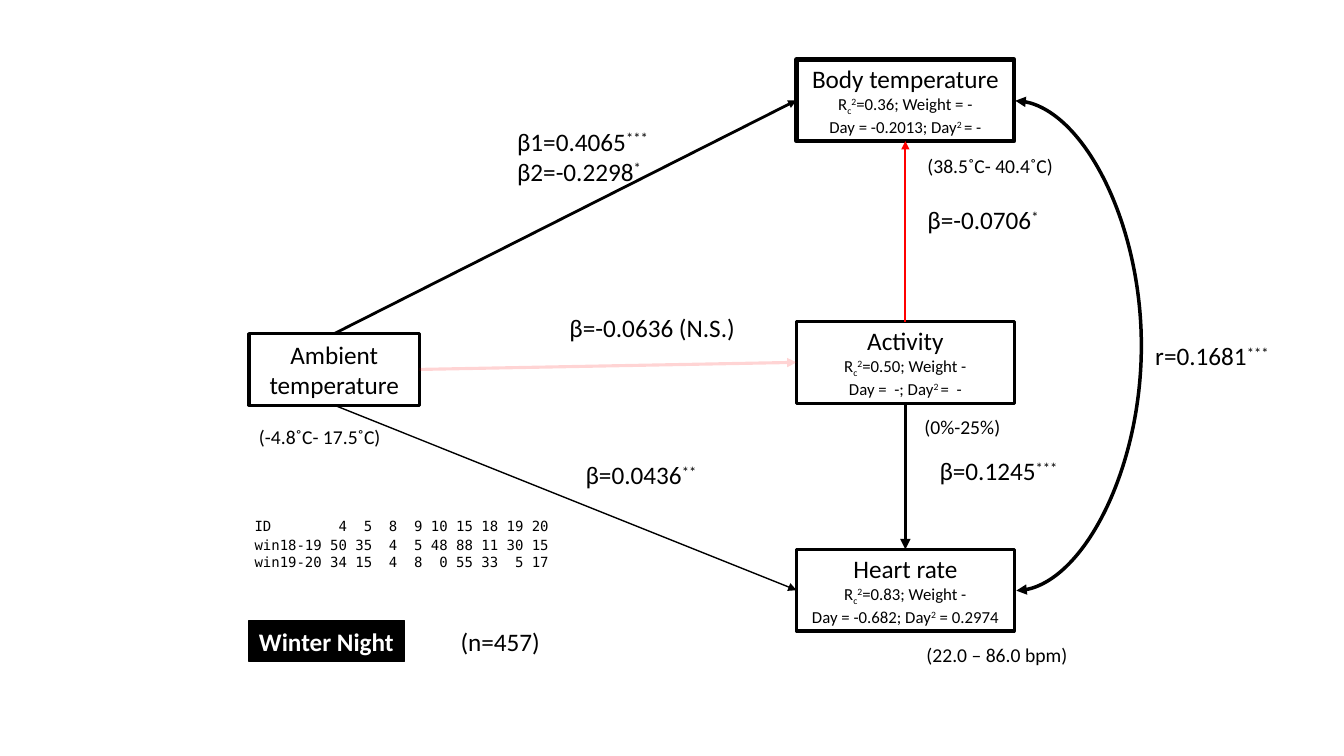
from dataclasses import dataclass
from lxml.etree import SubElement
from pptx import Presentation
from pptx.dml.color import RGBColor
from pptx.enum.shapes import MSO_CONNECTOR, MSO_SHAPE
from pptx.enum.text import MSO_ANCHOR, MSO_AUTO_SIZE, PP_ALIGN
from pptx.oxml.ns import qn
from pptx.util import Inches, Pt


@dataclass(frozen=True)
class Theme:
    ink: RGBColor = RGBColor(0x00, 0x00, 0x00)
    paper: RGBColor = RGBColor(0xFF, 0xFF, 0xFF)
    negative: RGBColor = RGBColor(0xFF, 0x00, 0x00)
    font: str = "Calibri"
    mono: str = "DejaVu Sans Mono"
    heading: int = 18
    span: int = 14
    detail: int = 12
    counts: int = 10


THEME = Theme()
BASELINES = {"^": "30000", "_": "-25000"}
TOP, LEFT, BOTTOM, RIGHT = range(4)


def write_line(paragraph, markup, size, color=THEME.ink, font=THEME.font, bold=False):
    for part in markup.split("|"):
        baseline = BASELINES.get(part[0])
        run = paragraph.add_run()
        run.text = part[1:] if baseline else part
        run.font.size = Pt(size)
        run.font.name = font
        run.font.bold = bold
        run.font.color.rgb = color
        if baseline:
            run._r.get_or_add_rPr().set("baseline", baseline)


def write_lines(frame, lines, **style):
    for index, (markup, size) in enumerate(lines):
        paragraph = frame.add_paragraph() if index else frame.paragraphs[0]
        write_line(paragraph, markup, size, **style)


def add_box(slide, left, top, width, height, weight):
    box = slide.shapes.add_shape(
        MSO_SHAPE.RECTANGLE, Inches(left), Inches(top), Inches(width), Inches(height))
    box.shadow.inherit = False
    box.fill.background()
    box.line.color.rgb = THEME.ink
    box.line.width = Pt(weight)
    return box


def add_variable(slide, left, top, width, height, name, details=(), weight=2.25):
    variable = add_box(slide, left, top, width, height, weight)
    frame = variable.text_frame
    frame.word_wrap = True
    frame.vertical_anchor = MSO_ANCHOR.MIDDLE
    write_lines(frame, [(name, THEME.heading)] + [(d, THEME.detail) for d in details])
    for paragraph in frame.paragraphs:
        paragraph.alignment = PP_ALIGN.CENTER
    return variable


def add_label(slide, left, top, width, height, *lines, size=THEME.heading):
    label = slide.shapes.add_textbox(
        Inches(left), Inches(top), Inches(width), Inches(height))
    frame = label.text_frame
    frame.word_wrap = False
    frame.auto_size = MSO_AUTO_SIZE.SHAPE_TO_FIT_TEXT
    write_lines(frame, [(line, size) for line in lines])


def style_arrow(arrow, weight, color=THEME.ink, opacity=100, ends=("tailEnd",)):
    arrow.line.width = Pt(weight)
    arrow.line.color.rgb = color
    outline = arrow.line._get_or_add_ln()
    if opacity < 100:
        solid = outline.find(qn("a:solidFill"))
        SubElement(solid[0], qn("a:alpha"), val=str(opacity * 1000))
    for end in ends:
        SubElement(outline, qn(f"a:{end}"), type="triangle")
    SubElement(arrow._element.spPr, qn("a:effectLst"))


def add_effect(slide, cause, cause_side, outcome, outcome_side, weight, **style):
    effect = slide.shapes.add_connector(MSO_CONNECTOR.STRAIGHT, 0, 0, 0, 0)
    effect.begin_connect(cause, cause_side)
    effect.end_connect(outcome, outcome_side)
    style_arrow(effect, weight, **style)


def add_correlation(slide, left, top, right, bottom, reach, weight):
    curve = slide.shapes.add_connector(
        MSO_CONNECTOR.CURVE, Inches(left), Inches(top), Inches(right), Inches(bottom))
    bulge = round((reach - left) / (right - left) * 100000)
    guides = curve._element.spPr.find(qn("a:prstGeom")).get_or_add_avLst()
    SubElement(guides, qn("a:gd"), name="adj1", fmla=f"val {bulge}")
    style_arrow(curve, weight, ends=("headEnd", "tailEnd"))


def add_season(slide, left, top, width, height, name):
    season = add_box(slide, left, top, width, height, 0.75)
    season.fill.solid()
    season.fill.fore_color.rgb = THEME.ink
    frame = season.text_frame
    frame.word_wrap = False
    write_lines(frame, [(name, THEME.heading)], color=THEME.paper, bold=True)
    frame.paragraphs[0].alignment = PP_ALIGN.LEFT


def add_counts(slide, left, top, width, height, rows):
    counts = slide.shapes.add_textbox(
        Inches(left), Inches(top), Inches(width), Inches(height))
    frame = counts.text_frame
    frame.word_wrap = True
    frame.margin_top = Inches(0.15)
    write_lines(frame, [(row, THEME.counts) for row in rows], font=THEME.mono)
    frame.paragraphs[0].space_after = Pt(2)


def main():
    deck = Presentation()
    deck.slide_width, deck.slide_height = Inches(13.33), Inches(7.5)
    slide = deck.slides.add_slide(deck.slide_layouts.get_by_name("Blank"))

    ambient = add_variable(slide, 2.47, 3.31, 1.69, 0.71, "Ambient temperature")
    activity = add_variable(
        slide, 7.9, 3.19, 2.16, 0.81, "Activity",
        ["R|_c|^2|=0.50; Weight -", "Day =  -; Day|^2 |=  -"])
    heart = add_variable(
        slide, 7.9, 5.45, 2.16, 0.81, "Heart rate",
        ["R|_c|^2|=0.83; Weight -", "Day = -0.682; Day|^2| = 0.2974"])
    body = add_variable(
        slide, 7.9, 0.59, 2.16, 0.81, "Body temperature",
        ["R|_c|^2|=0.36; Weight = -", "Day = -0.2013; Day|^2 |= -"], weight=3)

    add_effect(slide, ambient, RIGHT, activity, LEFT, 2.25,
               color=THEME.negative, opacity=17)
    add_effect(slide, activity, BOTTOM, heart, TOP, 2.5)
    add_effect(slide, activity, TOP, body, BOTTOM, 1.5, color=THEME.negative)
    add_effect(slide, ambient, TOP, body, LEFT, 2)
    add_effect(slide, ambient, BOTTOM, heart, LEFT, 1)
    add_correlation(slide, 10.07, 1, 10.08, 5.86, 11.34, 2.5)

    add_label(slide, 9.22, 4.47, 1.42, 0.4, "β=0.1245|^***")
    add_label(slide, 5.55, 3.05, 1.86, 0.4, "β=-0.0636 (N.S.)")
    add_label(slide, 5.03, 1.2, 1.55, 0.71, "β1=0.4065|^***", "β2=-0.2298|^*")
    add_label(slide, 5.71, 4.51, 1.33, 0.4, "β=0.0436|^**")
    add_label(slide, 9.1, 1.98, 1.37, 0.4, "β=-0.0706|^*")
    add_label(slide, 11.36, 3.33, 1.37, 0.4, "r=0.1681|^***")
    add_label(slide, 4.47, 6.16, 1, 0.4, "(n=457)")

    add_label(slide, 2.47, 4.17, 1.42, 0.34, "(-4.8˚C- 17.5˚C)", size=THEME.span)
    add_label(slide, 9.1, 1.48, 1.46, 0.34, "(38.5˚C- 40.4˚C)", size=THEME.span)
    add_label(slide, 9.07, 4.07, 0.96, 0.34, "(0%-25%)", size=THEME.span)
    add_label(slide, 9.09, 6.33, 1.61, 0.34, "(22.0 – 86.0 bpm)", size=THEME.span)

    add_season(slide, 2.47, 6.16, 1.54, 0.4, "Winter Night")
    add_counts(slide, 2.26, 4.98, 3.29, 0.74, [
        "  ID        4  5  8  9 10 15 18 19 20",
        "  win18-19 50 35  4  5 48 88 11 30 15",
        "  win19-20 34 15  4  8  0 55 33  5 17",
    ])
    deck.save("out.pptx")


if __name__ == "__main__":
    main()
